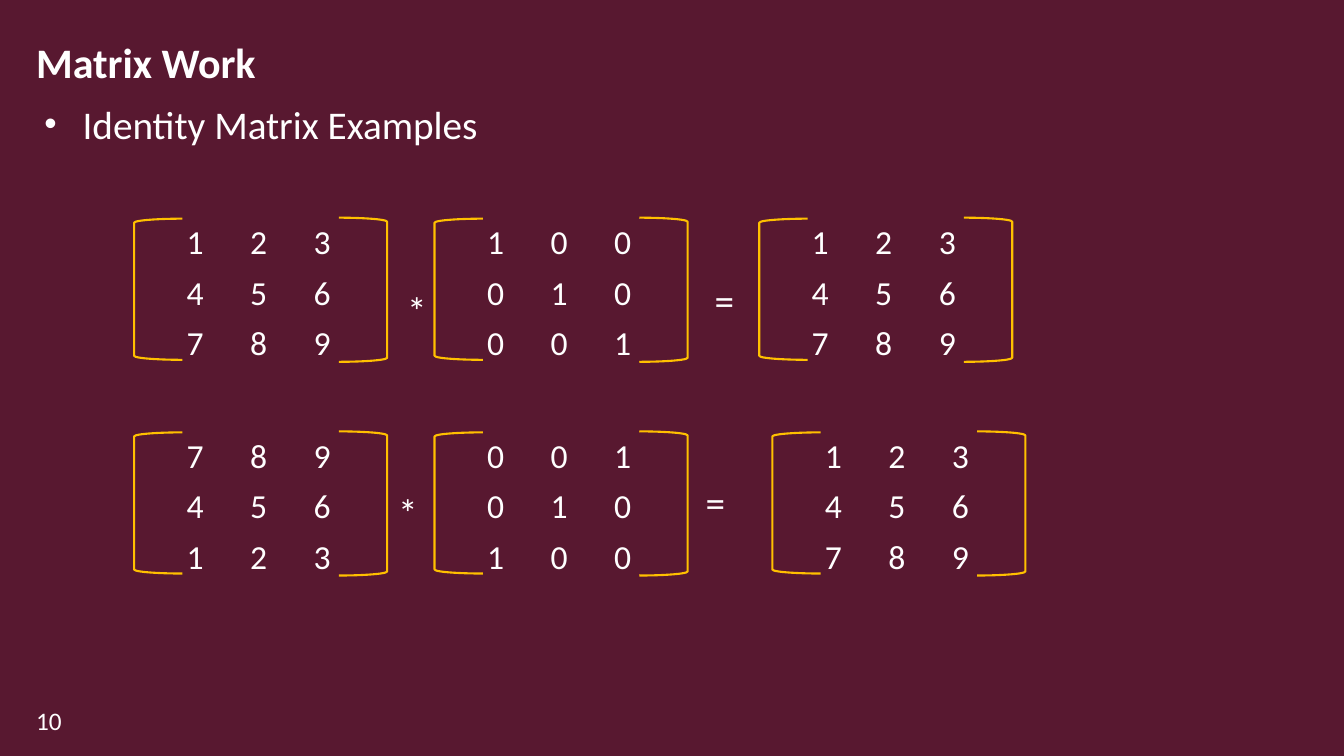
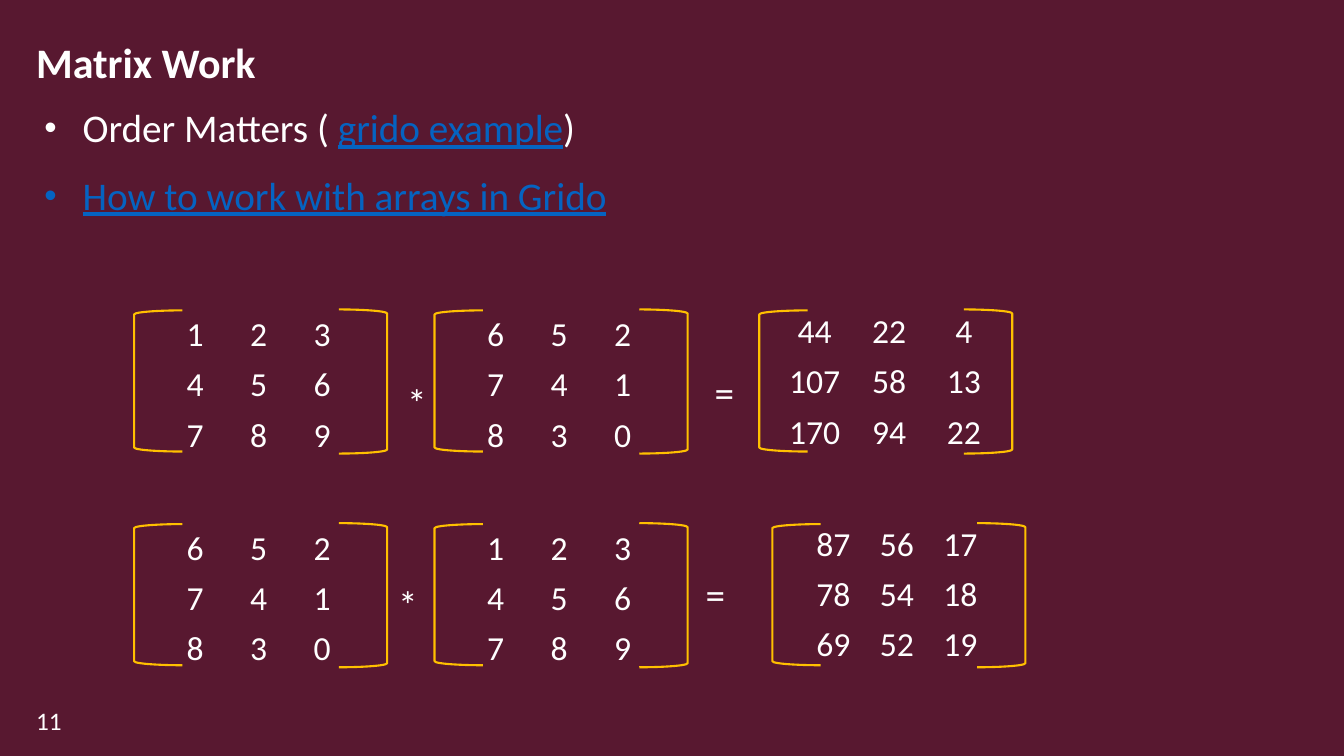
from lxml import etree
from pptx import Presentation
from pptx import util as u
from pptx.dml import color
from pptx.enum import shapes, text
from pptx.oxml import ns

HUES = {"back": "581830", "ink": "FFFFFF", "gold": "FFC000", "link": "0563C1"}
FONT = "Calibri"
PLAIN = "{2D5ABB26-0587-4C30-8999-92F81FD0307C}"  # table style without grid

# Matrices, rows parted by slashes
COUNT = "1 2 3/4 5 6/7 8 9"
FLIP = "7 8 9/4 5 6/1 2 3"
UNIT = "1 0 0/0 1 0/0 0 1"
SWAP = "0 0 1/0 1 0/1 0 0"
MIX = "6 5 2/7 4 1/8 3 0"

# Left edges of the three matrices, and shift of the signs, by row
ROWS = [((1.33, 4.31, 7.53), (0, 0)),
        ((1.33, 4.31, 7.66), (-0.09, -0.11))]
STEP = 2.12


def hue(name):
    return color.RGBColor.from_string(HUES[name])


def style(run, size, ink="ink", bold=False):
    font = run.font
    font.name, font.size, font.bold = FONT, u.Pt(size), bold
    font.color.rgb = hue(ink)
    if ink == "link":
        font.underline = True


def frame(slide, x, y, w, h, wrap=True):
    box = slide.shapes.add_textbox(*map(u.Inches, (x, y, w, h)))
    box.text_frame.word_wrap = wrap
    return box.text_frame


def label(slide, words, box, size, bold=False, wrap=True):
    body = frame(slide, *box, wrap=wrap)
    body.text = words
    style(body.paragraphs[0].runs[0], size, bold=bold)
    return body


# Title and slide number
def base(deck, title, page):
    slide = deck.slides.add_slide(deck.slide_layouts[6])
    label(slide, str(page), (0.26, 6.95, 0.51, 0.4), 18)
    head = label(slide, title, (0.26, 0.3, 12.81, 0.69), 30, bold=True)
    head.vertical_anchor = text.MSO_ANCHOR.MIDDLE
    head.paragraphs[0].line_spacing = 0.9
    return slide


# Bulleted lines, each a list of (words, colour)
def bullets(slide, lines, space, box=(0.26, 0.99, 12.31, 0.69)):
    body = frame(slide, *box)
    body.margin_left = body.margin_right = u.Inches(0.18)
    body.margin_top = body.margin_bottom = u.Inches(0.09)
    for i, line in enumerate(lines):
        para = body.add_paragraph() if i else body.paragraphs[0]
        para.line_spacing = space
        para.space_before, para.space_after = u.Pt(10), u.Pt(8)
        for words, ink in line:
            run = para.add_run()
            run.text = words
            style(run, 28, ink)
        prop = para._p.get_or_add_pPr()
        prop.set("marL", str(u.Inches(0.38)))
        prop.set("indent", str(-u.Inches(0.38)))
        etree.SubElement(prop, ns.qn("a:buSzPct"), val="90000")
        etree.SubElement(prop, ns.qn("a:buFont"), typeface="Arial")
        etree.SubElement(prop, ns.qn("a:buChar"), char="•")


def bracket(slide, kind, x, y, h):
    part = slide.shapes.add_shape(kind, *map(u.Inches, (x, y, 0.48, h)))
    part.shadow.inherit = False
    part.fill.background()
    part.line.color.rgb = hue("gold")
    part.line.width = u.Pt(1.5)


# Numbers between two brackets
def matrix(slide, cells, x, y, dx=0.29, dy=0, col=0.63):
    bracket(slide, shapes.MSO_SHAPE.LEFT_BRACKET, x, y + 0.01, 1.4)
    bracket(slide, shapes.MSO_SHAPE.RIGHT_BRACKET, x + 2.03, y, 1.43)
    rows = [row.split() for row in cells.split("/")]
    box = (x + dx, y + dy, col * len(rows[0]), 1.5)
    grid = slide.shapes.add_table(len(rows), len(rows[0]),
                                  *map(u.Inches, box))
    grid.element.xpath(".//a:tableStyleId")[0].text = PLAIN
    table = grid.table
    table.first_row = table.horz_banding = False
    for r, row in enumerate(rows):
        for c, word in enumerate(row):
            cell = table.cell(r, c)
            cell.fill.background()
            para = cell.text_frame.paragraphs[0]
            para.text = word
            para.alignment = text.PP_ALIGN.CENTER
            style(para.runs[0], 24)


# One product: left * right = result
def product(slide, terms, row, top, fit):
    edges, (dx, dy) = ROWS[row]
    y = top + row * STEP
    for i, (cells, x) in enumerate(zip(terms, edges)):
        matrix(slide, cells, x, y, **(fit if i == 2 else {}))
    for sign, x, drop in (("=", 6.99, 0.53), ("*", 3.94, 0.63)):
        label(slide, sign, (x + dx, y + drop + dy, 0.4, 0.57), 28, wrap=False)


def lesson(deck, page, lines, space, top, sums):
    slide = base(deck, "Matrix Work", page)
    bullets(slide, lines, space)
    for row, (terms, fit) in enumerate(sums):
        product(slide, terms, row, top, fit)


deck = Presentation()
deck.slide_width, deck.slide_height = u.Inches(13.33), u.Inches(7.5)
fill = deck.slide_master.background.fill
fill.solid()
fill.fore_color.rgb = hue("back")

# Identity matrices
lesson(deck, 10, [[("Identity Matrix Examples", "ink")]], 0.8, 2.16,
       [((COUNT, UNIT, COUNT), {}), ((FLIP, SWAP, COUNT), {})])

# Order of the factors
lesson(deck, 11,
       [[("Order Matters ( ", "ink"), ("grido example", "link"), (")", "ink")],
        [("How to work with arrays in Grido", "link")]],
       0.9, 3.07,
       [((COUNT, MIX, "44 22 4/107 58 13/170 94 22"),
         {"dx": 0.18, "dy": -0.03, "col": 0.74}),
        ((MIX, COUNT, "87 56 17/78 54 18/69 52 19"), {"dy": -0.04})])

deck.save("out.pptx")
